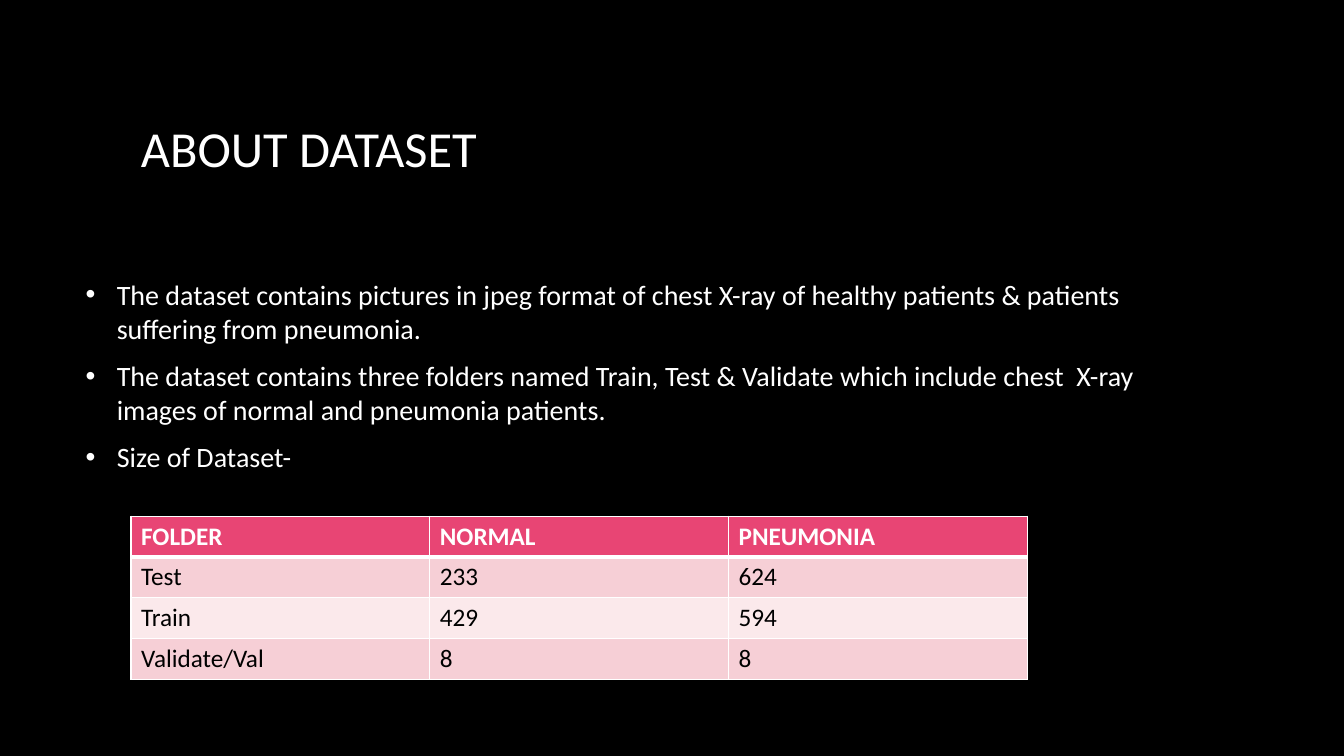
from pptx import Presentation
from pptx.dml.color import RGBColor
from pptx.enum.text import MSO_ANCHOR
from pptx.oxml.ns import qn
from pptx.util import Inches, Pt
from lxml import etree

MIDDLE = MSO_ANCHOR.MIDDLE
FONT = "Calibri"
COLORS = {
    "background": "000000",
    "light": "FFFFFF",
    "dark": "000000",
    "header": "E84574",
    "band_odd": "F6CFD6",
    "band_even": "FBE9EB",
}

TITLE = "ABOUT DATASET"
POINTS = [
    "The dataset contains pictures in jpeg format of chest X-ray of healthy "
    "patients & patients suffering from pneumonia.",
    "The dataset contains three folders named Train, Test & Validate which "
    "include chest  X-ray images of normal and pneumonia patients.",
    "Size of Dataset-",
]
FOLDER_SIZES = [
    ["FOLDER", "NORMAL", "PNEUMONIA"],
    ["Test", "233", "624"],
    ["Train", "429", "594"],
    ["Validate/Val", "8", "8"],
]


def rgb(name):
    return RGBColor.from_string(COLORS[name])


def write(p, text, size=18, color="light", bold=False):
    r = p.add_run()
    r.text = text
    r.font.name = FONT
    r.font.size = Pt(size)
    r.font.bold = bold
    r.font.color.rgb = rgb(color)


def add_frame(slide, x, y, w, h):
    tf = slide.shapes.add_textbox(Inches(x), Inches(y), Inches(w), Inches(h)).text_frame
    tf.word_wrap = True
    tf.vertical_anchor = MIDDLE
    return tf


def add_bullet(p, indent):
    pPr = p._p.get_or_add_pPr()
    pPr.set("marL", str(Inches(indent)))
    pPr.set("indent", str(-Inches(indent)))
    color = etree.SubElement(pPr, qn("a:buClr"))
    etree.SubElement(color, qn("a:srgbClr"), val=COLORS["light"])
    etree.SubElement(pPr, qn("a:buFont"), typeface="Arial")
    etree.SubElement(pPr, qn("a:buChar"), char="•")


def set_borders(cell, bottom, top):
    tcPr = cell._tc.get_or_add_tcPr()
    widths = {"a:lnL": 1, "a:lnR": 1, "a:lnT": top, "a:lnB": bottom}
    for i, (tag, width) in enumerate(widths.items()):
        ln = etree.Element(qn(tag), w=str(Pt(width)))
        fill = etree.SubElement(ln, qn("a:solidFill"))
        etree.SubElement(fill, qn("a:srgbClr"), val=COLORS["light"])
        tcPr.insert(i, ln)  # borders come before the fill


def add_title(slide, x, y, w, h):
    write(add_frame(slide, x, y, w, h).paragraphs[0], TITLE, size=36)


def add_points(slide, x, y, w, h):
    tf = add_frame(slide, x, y, w, h)
    for i, text in enumerate(POINTS):
        p = tf.add_paragraph() if i else tf.paragraphs[0]
        p.space_after = Pt(10)
        add_bullet(p, 0.31)
        write(p, text, size=20)


def add_size_table(slide, x, y, w, h):
    n_rows, n_cols = len(FOLDER_SIZES), len(FOLDER_SIZES[0])
    table = slide.shapes.add_table(
        n_rows, n_cols, Inches(x), Inches(y), Inches(w), Inches(h)).table
    for i, row in enumerate(FOLDER_SIZES):
        is_header = i == 0
        band = "header" if is_header else "band_odd" if i % 2 else "band_even"
        for j, text in enumerate(row):
            cell = table.cell(i, j)
            cell.fill.solid()
            cell.fill.fore_color.rgb = rgb(band)
            # A thick rule parts the header from the body
            set_borders(cell, bottom=3 if is_header else 1, top=3 if i == 1 else 1)
            write(cell.text_frame.paragraphs[0], text,
                  color="light" if is_header else "dark", bold=is_header)


def main():
    prs = Presentation()
    prs.slide_width, prs.slide_height = Inches(13.33), Inches(7.5)
    slide = prs.slides.add_slide(prs.slide_layouts[6])
    slide.background.fill.solid()
    slide.background.fill.fore_color.rgb = rgb("background")

    add_title(slide, 1.3, 0.67, 6.72, 1.59)
    add_points(slide, 0.75, 1.73, 11.08, 3.99)
    add_size_table(slide, 1.3, 5.12, 8.89, 1.62)
    prs.save("out.pptx")


if __name__ == "__main__":
    main()
